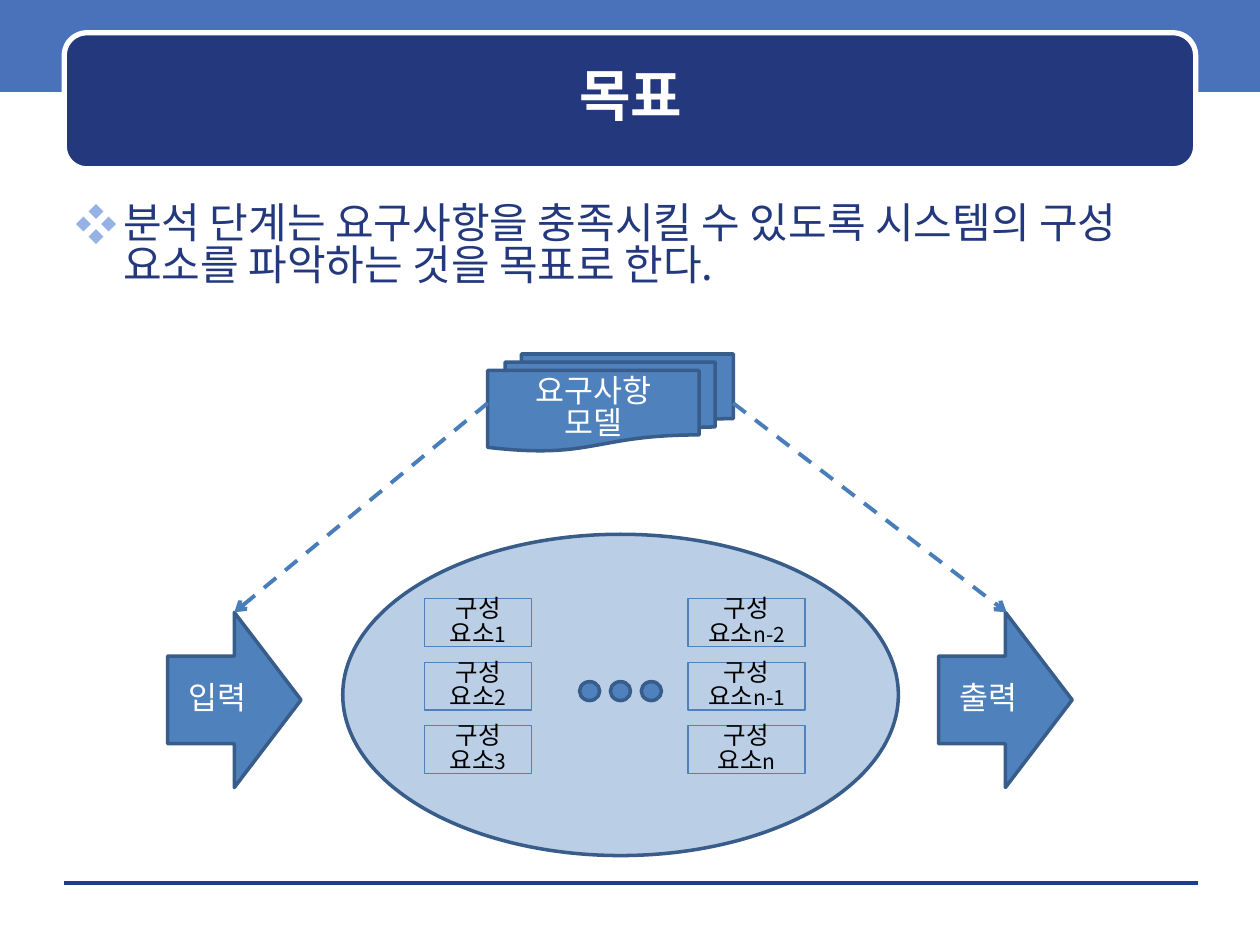
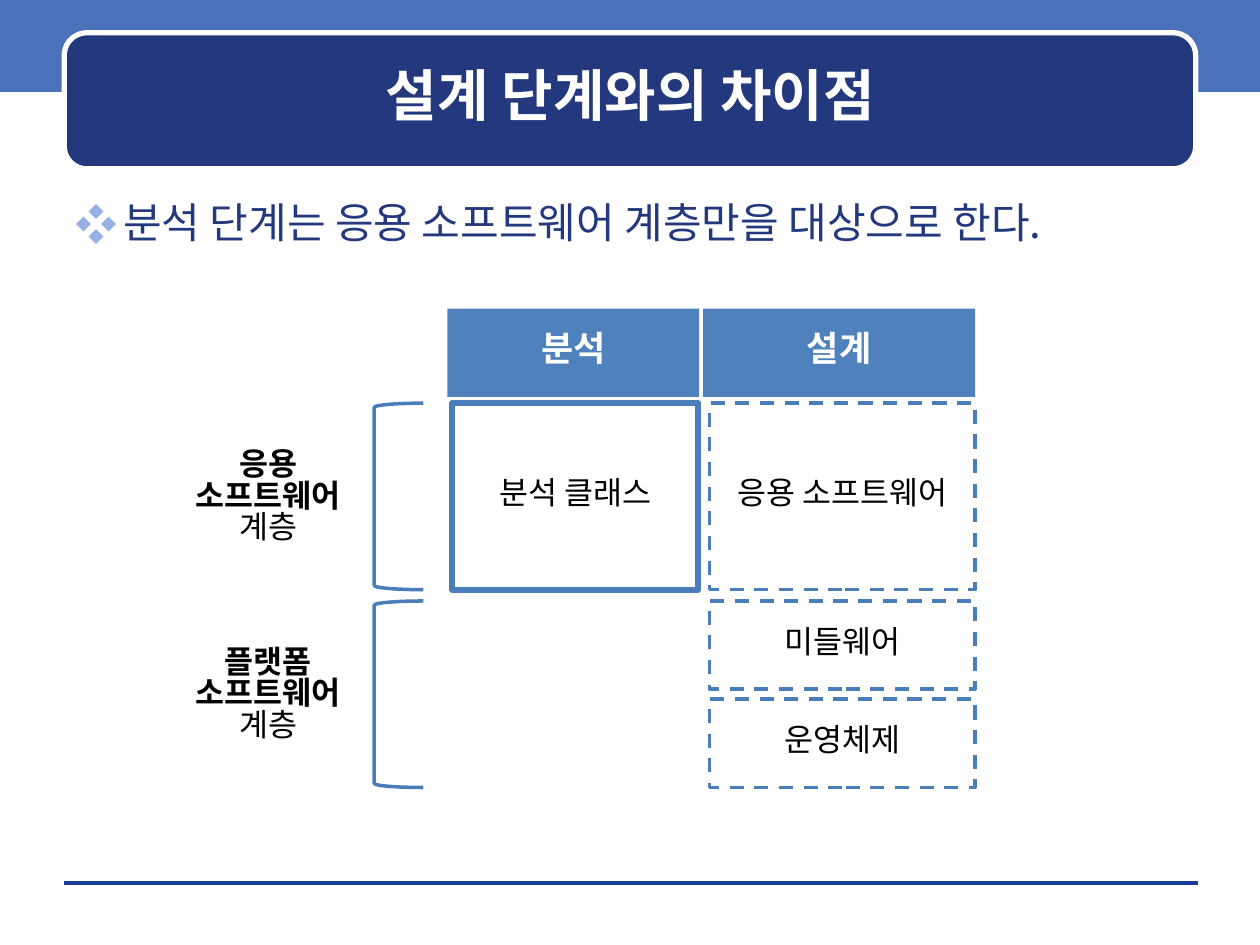
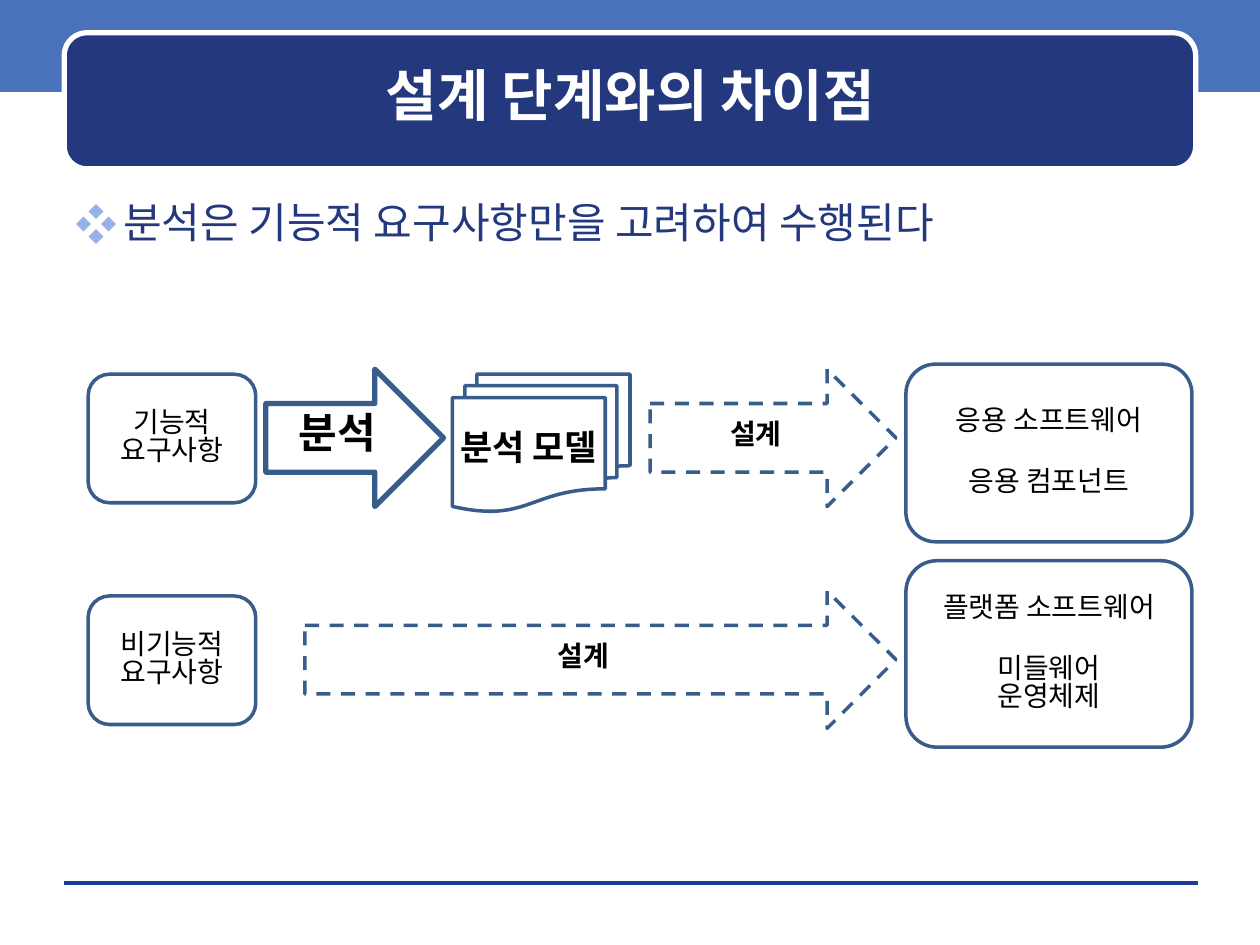
"""Build three slides that compare the analysis stage with the design stage."""
from dataclasses import dataclass
from typing import Optional

from lxml import etree
from pptx import Presentation
from pptx import util as u
from pptx.dml.color import RGBColor
from pptx.enum import dml, shapes, text
from pptx.oxml import ns

Kind = shapes.MSO_SHAPE


@dataclass(frozen=True)
class Theme:
    font: str = "Noto Sans CJK KR"
    band: str = "4972BB"
    navy: str = "23387D"
    bullet: str = "96B1E6"
    rule: str = "1A3D97"
    blue: str = "4F81BD"
    edge: str = "385D8A"
    stroke: str = "4A7EBB"
    white: str = "FFFFFF"
    black: str = "000000"
    title_size: int = 32
    body_size: int = 24
    heading_size: int = 20
    label_size: int = 18
    box_size: int = 16
    cell_size: int = 14
    index_size: int = 12
    line_spacing: float = 0.83
    tight_spacing: float = 0.7


THEME = Theme()


@dataclass(frozen=True)
class Box:
    left: float
    top: float
    width: float
    height: float

    def lengths(self) -> tuple:
        return tuple(u.Inches(value) for value in (self.left, self.top, self.width, self.height))


@dataclass(frozen=True)
class Pen:
    color: str
    width: float = 2
    dashed: bool = False


@dataclass(frozen=True)
class Label:
    lines: tuple[str, ...]
    size: int = THEME.label_size
    color: str = THEME.black
    bold: bool = False
    spacing: float = THEME.line_spacing
    side_inset: float = 0.1
    gap_after_first: float = 0


EDGE = Pen(THEME.edge)
DASHED_EDGE = Pen(THEME.edge, dashed=True)
STROKE = Pen(THEME.stroke)
DASHED_STROKE = Pen(THEME.stroke, dashed=True)


def rgb(color: str) -> RGBColor:
    return RGBColor.from_string(color)


def add_child(parent, tag: str, **attributes: str):
    return etree.SubElement(parent, ns.qn(tag), **attributes)


def style_run(run, size: float, color: str, bold: bool = False) -> None:
    run.font.name = THEME.font
    run.font.size = u.Pt(size)
    run.font.bold = bold
    run.font.color.rgb = rgb(color)
    add_child(run._r.get_or_add_rPr(), "a:ea", typeface=THEME.font)


def draw_line(line, pen: Optional[Pen]) -> None:
    if pen is None:
        line.fill.background()
        return
    line.color.rgb = rgb(pen.color)
    line.width = u.Pt(pen.width)
    if pen.dashed:
        line.dash_style = dml.MSO_LINE.DASH


def write_label(shape, label: Label) -> None:
    frame = shape.text_frame
    frame.word_wrap = True
    frame.vertical_anchor = text.MSO_ANCHOR.MIDDLE
    frame.margin_left = frame.margin_right = u.Inches(label.side_inset)
    frame.margin_top = frame.margin_bottom = u.Inches(0.05)
    frame.text = "\n".join(label.lines)
    for paragraph in frame.paragraphs:
        paragraph.alignment = text.PP_ALIGN.CENTER
        paragraph.line_spacing = label.spacing
        for run in paragraph.runs:
            style_run(run, label.size, label.color, label.bold)
    if label.gap_after_first:
        frame.paragraphs[0].space_after = u.Pt(label.gap_after_first)


def add_figure(slide, kind, box: Box, fill: Optional[str] = None,
               pen: Optional[Pen] = None, label: Optional[Label] = None):
    shape = slide.shapes.add_shape(kind, *box.lengths())
    shape.shadow.inherit = False
    if fill:
        shape.fill.solid()
        shape.fill.fore_color.rgb = rgb(fill)
    else:
        shape.fill.background()
    draw_line(shape.line, pen)
    if label:
        write_label(shape, label)
    return shape


def add_text(slide, box: Box, label: Label):
    shape = slide.shapes.add_textbox(*box.lengths())
    write_label(shape, label)
    return shape


def add_line(slide, start: tuple[float, float], end: tuple[float, float],
             pen: Pen, arrow: bool = False) -> None:
    points = [u.Inches(value) for value in (*start, *end)]
    connector = slide.shapes.add_connector(shapes.MSO_CONNECTOR.STRAIGHT, *points)
    draw_line(connector.line, pen)
    if arrow:
        add_child(connector.line._get_or_add_ln(), "a:tailEnd", type="arrow")
    add_child(connector._element.spPr, "a:effectLst")


def add_bullet(slide, sentence: str, height: float) -> None:
    frame = slide.shapes.add_textbox(*Box(0.5, 1.58, 9, height).lengths()).text_frame
    frame.word_wrap = True
    paragraph = frame.paragraphs[0]
    paragraph.text = sentence
    paragraph.space_before = u.Pt(6)
    paragraph.line_spacing = THEME.line_spacing
    style_run(paragraph.runs[0], THEME.body_size, THEME.navy)
    properties = paragraph._p.get_or_add_pPr()
    indent = u.Inches(0.38)
    properties.set("marL", str(indent))
    properties.set("indent", str(-indent))
    add_child(add_child(properties, "a:buClr"), "a:srgbClr", val=THEME.bullet)
    add_child(properties, "a:buFont", typeface=THEME.font)
    add_child(properties, "a:buChar", char="❖")


def add_page(presentation, title: str, sentence: str, body_height: float = 5.33):
    slide = presentation.slides.add_slide(presentation.slide_layouts[6])
    add_figure(slide, Kind.RECTANGLE, Box(0, 0, 10, 0.73), THEME.band)
    add_line(slide, (0.51, 7.01), (9.51, 7.01), Pen(THEME.rule, 0))
    add_figure(slide, Kind.ROUNDED_RECTANGLE, Box(0.51, 0.26, 8.98, 1.08),
               THEME.navy, Pen(THEME.white, 3))
    add_text(slide, Box(0.6, 0.35, 8.81, 0.88),
             Label((title,), THEME.title_size, THEME.white, bold=True))
    add_bullet(slide, sentence, body_height)
    return slide


def add_component(slide, box: Box, index: str) -> None:
    label = Label(("구성", "요소"), THEME.cell_size)
    shape = add_figure(slide, Kind.RECTANGLE, box, pen=Pen(THEME.blue, 0.75), label=label)
    run = shape.text_frame.paragraphs[-1].add_run()
    run.text = index
    style_run(run, THEME.index_size, THEME.black)


def build_goal(presentation) -> None:
    slide = add_page(presentation, "목표",
                     "분석 단계는 요구사항을 충족시킬 수 있도록 시스템의 구성 "
                     "요소를 파악하는 것을 목표로 한다.", 2.56)
    system = add_figure(slide, Kind.OVAL, Box(2.72, 4.24, 4.41, 2.55), THEME.blue, EDGE)
    color = system.fill._xPr.find(ns.qn("a:solidFill"))[0]
    add_child(color, "a:alpha", val="39000")
    columns = ((3.37, 0.85, ("1", "2", "3")), (5.46, 0.93, ("n-2", "n-1", "n")))
    for left, width, indices in columns:
        for row, index in enumerate(indices):
            add_component(slide, Box(left, 4.75 + 0.505 * row, width, 0.38), index)
    for left, caption in ((1.33, "입력"), (7.45, "출력")):
        add_figure(slide, Kind.RIGHT_ARROW, Box(left, 4.86, 1.06, 1.39), THEME.blue, EDGE,
                   Label((caption,), color=THEME.white))
    for dot in range(3):
        add_figure(slide, Kind.OVAL, Box(4.6 + 0.245 * dot, 5.41, 0.16, 0.15),
                   THEME.blue, EDGE)
    add_figure(slide, Kind.FLOWCHART_MULTIDOCUMENT, Box(3.87, 2.81, 1.95, 0.77),
               THEME.blue, EDGE, Label(("요구사항", "모델"), color=THEME.white))
    for start, end in (((3.87, 3.2), (1.86, 4.86)), ((5.82, 3.2), (7.99, 4.86))):
        add_line(slide, start, end, Pen(THEME.stroke, 2.25, True), arrow=True)


def build_layers(presentation) -> None:
    slide = add_page(presentation, "설계 단계와의 차이점",
                     "분석 단계는 응용 소프트웨어 계층만을 대상으로 한다.")
    design_layers = ((3.2, 1.48, "응용 소프트웨어"), (4.77, 0.7, "미들웨어"),
                     (5.55, 0.7, "운영체제"))
    for top, height, caption in design_layers:
        add_figure(slide, Kind.RECTANGLE, Box(5.63, top, 2.11, height), pen=DASHED_STROKE,
                   label=Label((caption,), spacing=THEME.tight_spacing))
    for top, layer in ((3.2, "응용"), (4.77, "플랫폼")):
        add_figure(slide, Kind.LEFT_BRACKET, Box(2.97, top, 0.39, 1.48), pen=STROKE)
        shape = add_text(slide, Box(1.33, top + 0.55, 1.6, 0.4),
                         Label((layer, "소프트웨어", "계층"), bold=True))
        shape.text_frame.paragraphs[-1].runs[0].font.bold = False
    add_figure(slide, Kind.RECTANGLE, Box(3.59, 3.2, 1.95, 1.48), pen=Pen(THEME.stroke, 3.5),
               label=Label(("분석 클래스",), spacing=THEME.tight_spacing))
    for left, width, stage in ((3.55, 2, "분석"), (5.58, 2.16, "설계")):
        add_figure(slide, Kind.RECTANGLE, Box(left, 2.45, width, 0.7), THEME.blue,
                   label=Label((stage,), THEME.heading_size, THEME.white, True,
                               THEME.tight_spacing))


def build_flow(presentation) -> None:
    slide = add_page(presentation, "설계 단계와의 차이점",
                     "분석은 기능적 요구사항만을 고려하여 수행된다")
    add_figure(slide, Kind.FLOWCHART_MULTIDOCUMENT, Box(3.59, 2.97, 1.41, 1.09), pen=EDGE,
               label=Label(("분석 모델",), THEME.heading_size, bold=True,
                           spacing=THEME.tight_spacing, side_inset=0))
    results = ((2.89, 1.41, ("응용 소프트웨어", "응용 컴포넌트")),
               (4.45, 1.48, ("플랫폼 소프트웨어", "미들웨어", "운영체제")))
    for top, height, lines in results:
        add_figure(slide, Kind.FLOWCHART_ALTERNATE_PROCESS, Box(7.19, top, 2.27, height),
                   pen=EDGE, label=Label(lines, THEME.box_size, gap_after_first=19))
    for top, requirement in ((2.97, "기능적"), (4.73, "비기능적")):
        add_figure(slide, Kind.FLOWCHART_ALTERNATE_PROCESS, Box(0.7, top, 1.33, 1.02),
                   pen=EDGE, label=Label((requirement, "요구사항"), THEME.box_size))
    arrows = ((Box(5.16, 2.93, 1.95, 1.09), "설계", THEME.box_size, DASHED_EDGE, 0.1),
              (Box(2.11, 2.93, 1.41, 1.09), "분석", THEME.body_size, Pen(THEME.edge, 3), 0),
              (Box(2.42, 4.69, 4.69, 1.09), "설계", THEME.box_size, DASHED_EDGE, 0.1))
    for box, stage, size, pen, inset in arrows:
        add_figure(slide, Kind.RIGHT_ARROW, box, pen=pen,
                   label=Label((stage,), size, bold=True, spacing=THEME.tight_spacing,
                               side_inset=inset))


def main() -> None:
    presentation = Presentation()
    presentation.slide_width = u.Inches(10)
    presentation.slide_height = u.Inches(7.5)
    build_goal(presentation)
    build_layers(presentation)
    build_flow(presentation)
    presentation.save("out.pptx")


main()
